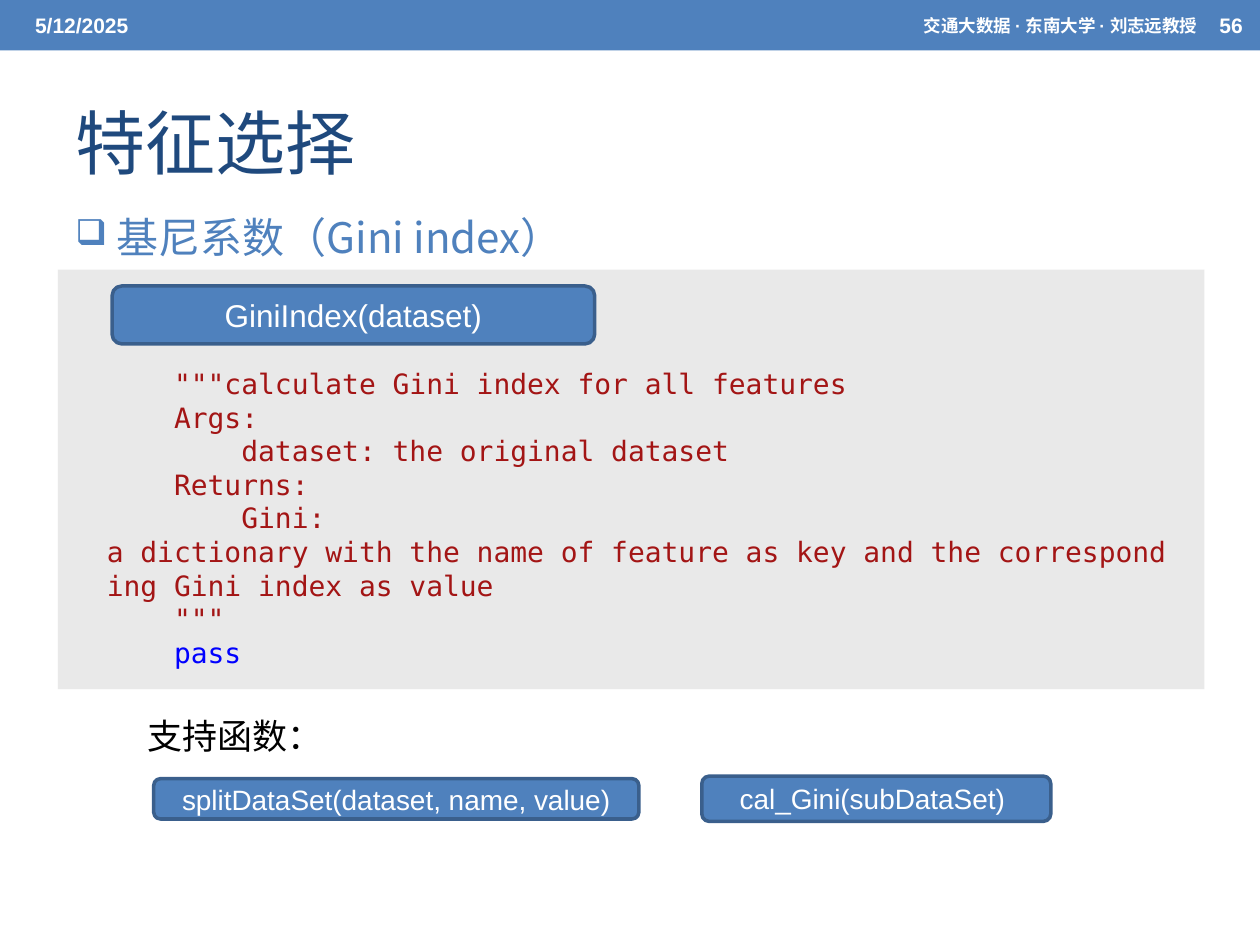
from collections import namedtuple

from lxml.etree import SubElement
from pptx import Presentation
from pptx.dml.color import RGBColor
from pptx.enum.shapes import MSO_SHAPE as Preset
from pptx.enum.text import MSO_ANCHOR as Anchor, MSO_AUTO_SIZE as AutoSize, PP_ALIGN as Align
from pptx.oxml.ns import qn
from pptx.util import Inches, Pt

UNIT = Inches(0.1)
SANS, CJK, MONO = "Arial", "Noto Sans CJK SC", "DejaVu Sans Mono"
BLUE, NAVY, EDGE, GREY = "4F81BD", "1F497D", "3A5F8C", "BFBFBF"
WHITE, BLACK, RED, KEYWORD = "FFFFFF", "000000", "A31515", "0000FF"
DOCSTRING = [
    '    """calculate Gini index for all features',
    "    Args:",
    "        dataset: the original dataset",
    "    Returns: ",
    ("        Gini:", "a dictionary with the name of feature as key and the corresponding Gini",
     "index as value"),
    '    """',
]


class Box(namedtuple("Box", "col row cols rows")):
    """An area in grid units of a hundredth of the slide width."""

    def inner(self, col, row, cols, rows):
        """Return a box placed relative to this one."""
        return Box(self.col + col, self.row + row, cols, rows)

    def emu(self):
        """Return left, top, width and height in EMU."""
        return [round(length * UNIT) for length in self]


def color(hex_string):
    """Turn a hex string into a colour."""
    return RGBColor.from_string(hex_string)


def set_all(target, values):
    """Set every attribute in a dict of format values."""
    for key, value in values.items():
        setattr(target, key, value)


def add_run(paragraph, text, size, ink, face=SANS, bold=False):
    """Append a formatted run with its East Asian font."""
    run = paragraph.add_run()
    run.text = text
    set_all(run.font, {"size": Pt(size), "name": face, "bold": bold})
    run.font.color.rgb = color(ink)
    SubElement(run.font._element, qn("a:ea"), typeface=CJK)


def add_label(slide, box, **frame_format):
    """Add an empty text box and return its frame."""
    frame = slide.shapes.add_textbox(*box.emu()).text_frame
    set_all(frame, {"word_wrap": True, **frame_format})
    return frame


def add_panel(slide, box, preset, fill):
    """Add a filled shape without a line or shadow."""
    panel = slide.shapes.add_shape(preset, *box.emu())
    panel.shadow.inherit = False
    panel.fill.solid()
    panel.fill.fore_color.rgb = color(fill)
    panel.line.fill.background()
    return panel


def add_function(slide, box, signature, size):
    """Add a rounded button that shows a function signature."""
    button = add_panel(slide, box, Preset.ROUNDED_RECTANGLE, BLUE)
    button.line.color.rgb = color(EDGE)
    button.line.width = Pt(2)
    set_all(button.text_frame, {"vertical_anchor": Anchor.MIDDLE, "word_wrap": True})
    paragraph = button.text_frame.paragraphs[0]
    paragraph.alignment = Align.CENTER
    add_run(paragraph, signature, size, WHITE)


def hard(text):
    """Make the spaces of a code line non-breaking."""
    return text.replace(" ", chr(160))


def build_header(slide, box):
    """Build the top band with date, course and page number."""
    add_panel(slide, box, Preset.RECTANGLE, BLUE)
    for col, cols, text, size, align in [
        (1.8, 31.7, "5/12/2025", 12, Align.LEFT),
        (43.2, 52.8, "交通大数据 · 东南大学 · 刘志远教授", 10, Align.RIGHT),
        (95.8, 4.2, "56", 12, Align.LEFT),
    ]:
        part = box.inner(col, 0.2, cols, box.rows - 0.4)
        paragraph = add_label(slide, part, vertical_anchor=Anchor.MIDDLE).paragraphs[0]
        paragraph.alignment = align
        add_run(paragraph, text, size, WHITE, bold=True)


def build_heading(slide, box):
    """Build the title and the bulleted topic below it."""
    title = add_label(slide, box.inner(0, 0, box.cols, 10.8), vertical_anchor=Anchor.MIDDLE)
    add_run(title.paragraphs[0], "特征选择", 40, NAVY, CJK)

    topic = add_label(slide, box.inner(0, 8.5, box.cols, 12.3)).paragraphs[0]
    properties = topic._p.get_or_add_pPr()
    set_indent = {"marL": Inches(0.2), "indent": -Inches(0.2)}
    for key, value in set_indent.items():
        properties.set(key, str(value))
    SubElement(SubElement(properties, qn("a:buClr")), qn("a:srgbClr"), val=BLUE)
    SubElement(properties, qn("a:buSzPct"), val="85000")
    SubElement(properties, qn("a:buChar"), char="❑")
    topic.line_spacing = 1.5
    add_run(topic, " ", 24, BLACK, CJK)
    add_run(topic, "基尼系数（Gini index）", 24, BLUE, CJK)


def build_code(slide, box):
    """Build the shaded panel with the function and its docstring."""
    panel = add_panel(slide, box, Preset.RECTANGLE, GREY)
    shade = panel.fill._xPr.find(qn("a:solidFill"))[0]
    SubElement(shade, qn("a:alpha"), val="34000")

    code = add_label(slide, box.inner(2.9, 7.2, 86.3, 25.2), auto_size=AutoSize.SHAPE_TO_FIT_TEXT)
    paragraph = code.paragraphs[0]
    for line in DOCSTRING:
        parts = [line] if isinstance(line, str) else line
        add_run(paragraph, " ".join(map(hard, parts)), 16, RED, MONO)
        paragraph = code.add_paragraph()
    add_run(paragraph, hard("    pass"), 16, KEYWORD, MONO)

    add_function(slide, box.inner(4.3, 1.3, 38.3, 4.6), "GiniIndex(dataset)", 18)


def build_support(slide, box):
    """Build the caption and the row of supporting functions."""
    caption = add_label(slide, box.inner(0, 0, 16, 4.4), word_wrap=False,
                        auto_size=AutoSize.SHAPE_TO_FIT_TEXT)
    add_run(caption.paragraphs[0], "支持函数：", 20, BLACK, CJK)
    for col, cols, rows, signature in [
        (45, 27.7, 3.6, "cal_Gini(subDataSet) "),
        (1.5, 38.5, 3.2, "splitDataSet(dataset, name, value)"),
    ]:
        add_function(slide, box.inner(col, 7.2 - rows / 2, cols, rows), signature, 16)


def main():
    """Build and save the slide."""
    deck = Presentation()
    set_all(deck, {"slide_width": 100 * UNIT, "slide_height": 75 * UNIT})
    slide = deck.slides.add_slide(deck.slide_layouts[6])
    build_header(slide, Box(0, 0, 100, 4))
    build_heading(slide, Box(5, 5.8, 90, 20.8))
    build_code(slide, Box(4.6, 21.4, 91, 33.3))
    build_support(slide, Box(10.7, 56.2, 72.7, 9))
    deck.save("out.pptx")


if __name__ == "__main__":
    main()
